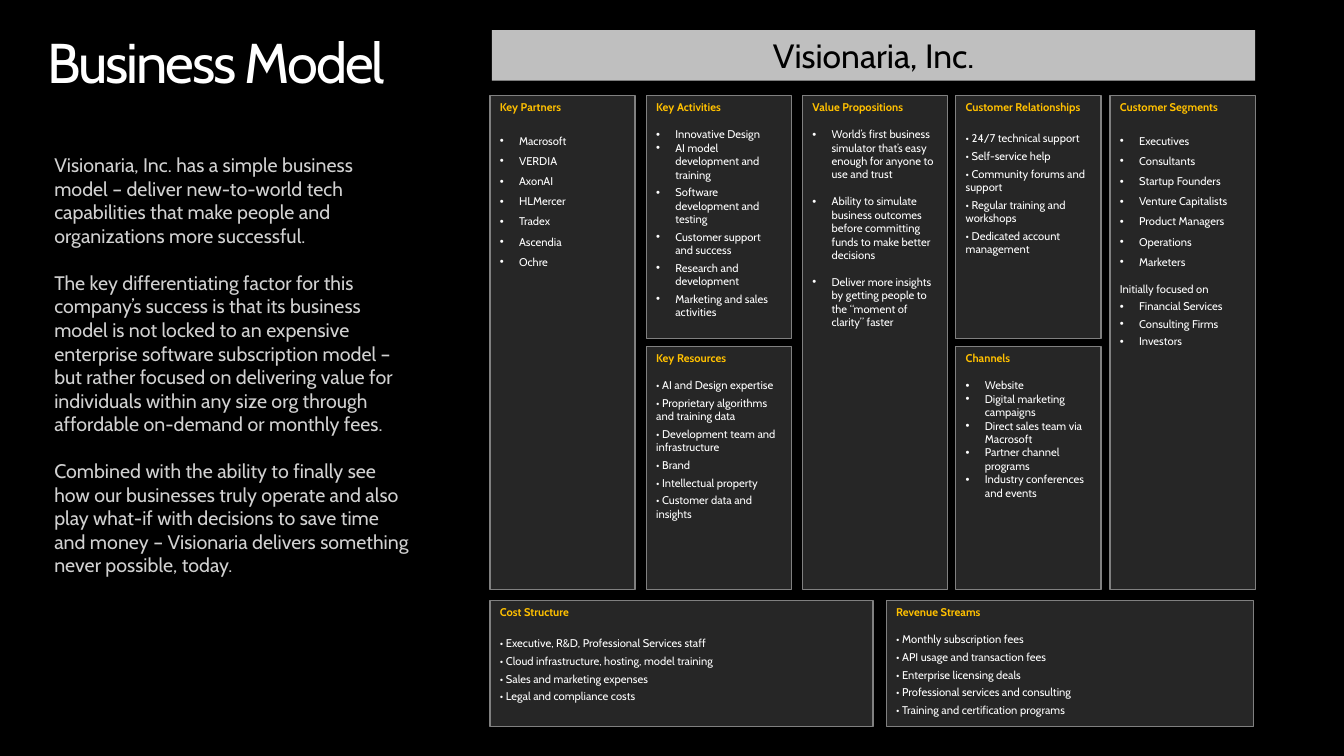
from lxml.etree import SubElement as Sub
from pptx import Presentation
from pptx.dml.color import RGBColor as RGB
from pptx.enum.shapes import MSO_SHAPE as Geo
from pptx.enum.text import MSO_ANCHOR as Anchor, PP_ALIGN as Align
from pptx.oxml.ns import qn
from pptx.util import Inches, Pt


def paint(part, color):
    if hasattr(part, "solid"):
        part.solid()
        part = part.fore_color
    else:
        part = part.color
    part.rgb = RGB.from_string(color)


def write(para, text, size, color, gap=0, bold=False):
    para.text = text
    para.space_before = Pt(gap)
    para.font.name = "Cabin"
    para.font.size = Pt(size)
    para.font.bold = bold
    paint(para.font, color)


deck = Presentation()
deck.slide_width, deck.slide_height = Inches(13.33), Inches(7.5)
slide = deck.slides.add_slide(deck.slide_layouts[5])
paint(slide.background.fill, "000000")

# Canvas geometry
cols = [4.86, 6.41, 7.96, 9.48, 11.01]
wide, full, half = 1.44, 4.9, 2.41
top, mid, low = 0.95, 3.44, 5.96
line = 9.6  # height of one line of card text, in points

# Cards: title, left, top, width, height, then lists of
# (marker, line spacing, space before first, space before rest, items)
cards = [
    ("Key Partners", cols[0], top, wide, full, [
        ("hang", 1.5, line, 0, [
            "Macrosoft", "VERDIA", "AxonAI", "HLMercer", "Tradex",
            "Ascendia", "Ochre"])]),
    ("Key Activities", cols[1], top, wide, half, [
        ("hang", 1, line, 0, [
            "Innovative Design", "AI model development and training"]),
        ("hang", 1, 3, 3, [
            "Software development and testing",
            "Customer support and success",
            "Research and development",
            "Marketing and sales activities"])]),
    ("Key Resources", cols[1], mid, wide, half, [
        ("dot", 1, line, 3, [
            "AI and Design expertise",
            "Proprietary algorithms and training data",
            "Development team and infrastructure",
            "Brand",
            "Intellectual property",
            "Customer data and insights"])]),
    ("Value Propositions", cols[2], top, wide, full, [
        ("hang", 1, line, line, [
            "World’s first business simulator that’s easy enough for "
            "anyone to use and trust",
            "Ability to simulate business outcomes before committing "
            "funds to make better decisions",
            "Deliver more insights by getting people to the “moment of "
            "clarity” faster"])]),
    ("Customer Relationships", cols[3], top, wide, half, [
        ("dot", 1, line + 3, 3, [
            "24/7 technical support",
            "Self-service help",
            "Community forums and support",
            "Regular training and workshops",
            "Dedicated account management"])]),
    ("Channels", cols[3], mid, wide, half, [
        ("hang", 1, line, 0, [
            "Website",
            "Digital marketing campaigns",
            "Direct sales team via Macrosoft",
            "Partner channel programs",
            "Industry conferences and events"])]),
    ("Customer Segments", cols[4], top, wide, full, [
        ("hang", 1.5, line, 0, [
            "Executives", "Consultants", "Startup Founders",
            "Venture Capitalists", "Product Managers", "Operations",
            "Marketers"]),
        ("plain", 1, line, 0, ["Initially focused on"]),
        ("hang", 1, 3, 3, [
            "Financial Services", "Consulting Firms", "Investors"])]),
    ("Cost Structure", cols[0], low, 3.8, 1.25, [
        ("dot", 1, line + 3, 3, [
            "Executive, R&D, Professional Services staff",
            "Cloud infrastructure, hosting, model training",
            "Sales and marketing expenses",
            "Legal and compliance costs"])]),
    ("Revenue Streams", 8.79, low, 3.64, 1.25, [
        ("dot", 1, line, 3, [
            "Monthly subscription fees",
            "API usage and transaction fees",
            "Enterprise licensing deals",
            "Professional services and consulting",
            "Training and certification programs"])]),
]

for title, x, y, w, h, lists in cards:
    card = slide.shapes.add_shape(
        Geo.RECTANGLE, Inches(x), Inches(y), Inches(w), Inches(h))
    card.shadow.inherit = False
    paint(card.fill, "262626")
    paint(card.line, "808080")
    card.line.width = Pt(1)
    frame = card.text_frame
    frame.word_wrap = True
    frame.vertical_anchor = Anchor.TOP
    head = frame.paragraphs[0]
    head.alignment = Align.LEFT
    write(head, title, 8, "FFC000", bold=True)
    for mark, pitch, first, rest, items in lists:
        for i, item in enumerate(items):
            para = frame.add_paragraph()
            para.alignment = Align.LEFT
            para.line_spacing = pitch
            if mark == "hang":
                props = para._p.get_or_add_pPr()
                props.set("marL", str(Inches(0.19)))
                props.set("indent", str(-Inches(0.19)))
                Sub(props, qn("a:buFont"), typeface="Arial")
                Sub(props, qn("a:buChar"), char="•")
            lead = "• " if mark == "dot" else ""
            write(para, lead + item, 8, "FFFFFF", rest if i else first)

# Company banner
bar = slide.shapes.add_shape(
    Geo.RECTANGLE, Inches(4.88), Inches(0.3), Inches(7.57), Inches(0.5))
bar.shadow.inherit = False
paint(bar.fill, "BFBFBF")
bar.line.fill.background()
bar.text_frame.vertical_anchor = Anchor.MIDDLE
name = bar.text_frame.paragraphs[0]
name.alignment = Align.CENTER
write(name, "Visionaria, Inc.", 24, "000000")

# Slide title
head = slide.shapes.title
head.left, head.top = Inches(0.37), Inches(0.22)
head.width, head.height = Inches(4.72), Inches(0.77)
head.text_frame.vertical_anchor = Anchor.TOP
para = head.text_frame.paragraphs[0]
para.alignment = Align.LEFT
write(para, "Business Model", 40, "FFFFFF")
para.runs[0]._r.get_or_add_rPr().set("spc", "-150")

# Story beside the canvas
story = [
    "Visionaria, Inc. has a simple business model – deliver new-to-world "
    "tech capabilities that make people and organizations more successful.",
    "The key differentiating factor for this company’s success is that its "
    "business model is not locked to an expensive enterprise software "
    "subscription model – but rather focused on delivering value for "
    "individuals within any size org through affordable on-demand or "
    "monthly fees.",
    "Combined with the ability to finally see how our businesses truly "
    "operate and also play what-if with decisions to save time and money – "
    "Visionaria delivers something never possible, today.",
]
box = slide.shapes.add_textbox(
    Inches(0.44), Inches(1.47), Inches(3.73), Inches(4.58))
frame = box.text_frame
frame.word_wrap = True
for i, text in enumerate(story):
    para = frame.add_paragraph() if i else frame.paragraphs[0]
    write(para, text, 14, "D1D1D1", 16.8 if i else 0)

deck.save("out.pptx")
